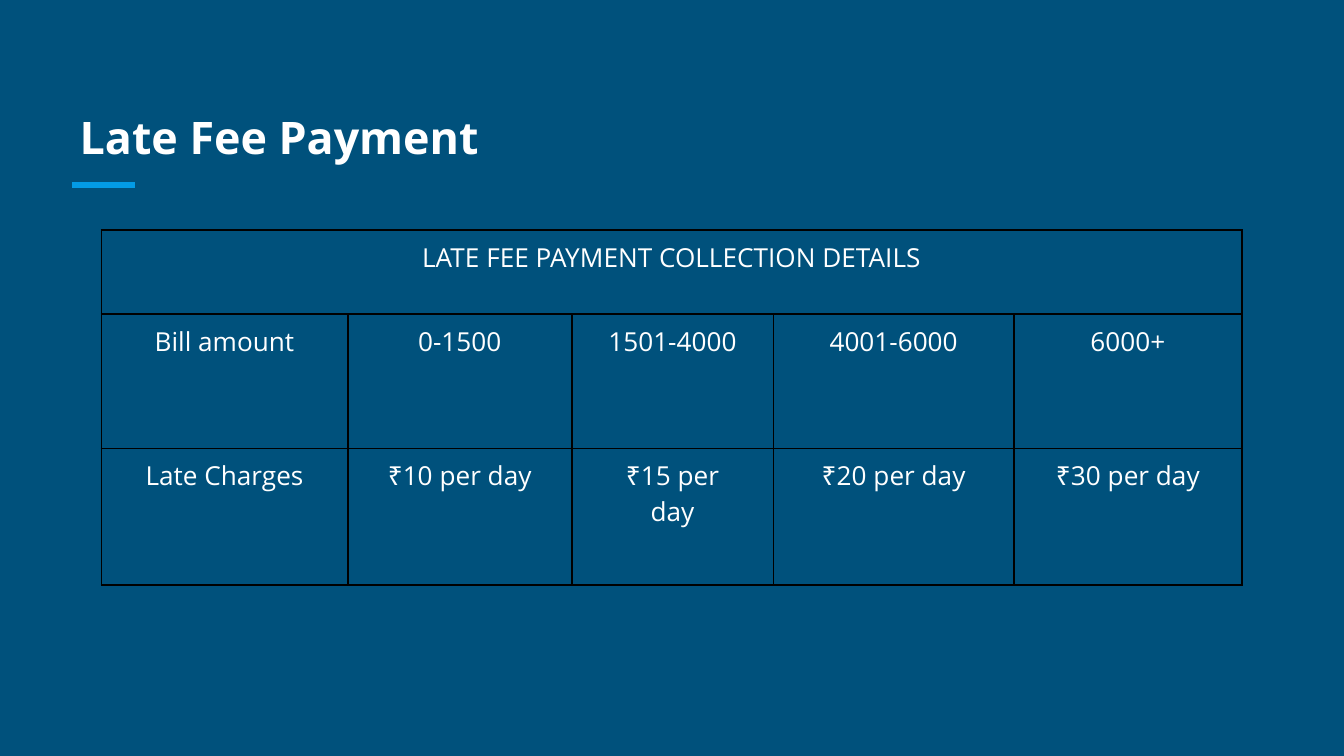
from lxml import etree
from pptx import Presentation
from pptx.dml.color import RGBColor
from pptx.enum import shapes, text
from pptx.oxml import ns
from pptx.util import Pt

HUES = {"back": "00517C", "ink": "FFFFFF", "rule": "039BE5", "edge": "000000"}
ROWS = [
    ["LATE FEE PAYMENT COLLECTION DETAILS"],
    ["Bill amount", "0-1500", "1501-4000", "4001-6000", "6000+"],
    ["Late Charges", "₹10 per day", "₹15 per day", "₹20 per day", "₹30 per day"],
]
WIDTHS = [132, 120, 108, 129, 122]
HEIGHTS = [45, 72, 73]


def hue(name):
    return RGBColor.from_string(HUES[name])


def apply(item, **vals):
    for key, val in vals.items():
        setattr(item, key, val)


class Deck:
    face = "Open Sans"

    def __init__(self, wide, high):
        self.show = Presentation()
        apply(self.show, slide_width=Pt(wide), slide_height=Pt(high))
        self.slide = self.show.slides.add_slide(self.show.slide_layouts[5])
        fill = self.slide.background.fill
        fill.solid()
        fill.fore_color.rgb = hue("back")

    def label(self, frame, words, size, align, bold=False):
        para = frame.paragraphs[0]
        para.alignment = align
        run = para.add_run()
        run.text = words
        apply(run.font, name=self.face, size=Pt(size), bold=bold)
        run.font.color.rgb = hue("ink")

    def title(self, words, left, top, wide, high):
        box = self.slide.shapes.title
        apply(box, left=Pt(left), top=Pt(top), width=Pt(wide), height=Pt(high))
        apply(box.text_frame, word_wrap=True, auto_size=text.MSO_AUTO_SIZE.NONE,
              vertical_anchor=text.MSO_ANCHOR.TOP, margin_left=Pt(7.2),
              margin_right=Pt(7.2), margin_top=Pt(20), margin_bottom=0)
        self.label(box.text_frame, words, 24, text.PP_ALIGN.LEFT, True)

    def rule(self, left, top, right):
        line = self.slide.shapes.add_connector(
            shapes.MSO_CONNECTOR.STRAIGHT, Pt(left), Pt(top), Pt(right), Pt(top))
        line.line.width = Pt(3)
        line.line.color.rgb = hue("rule")
        etree.SubElement(line._element.spPr, ns.qn("a:effectLst"))

    def edges(self, cell):
        props = cell._tc.get_or_add_tcPr()
        for spot, side in enumerate(("lnL", "lnR", "lnT", "lnB")):
            edge = etree.Element(ns.qn("a:" + side), w=str(Pt(1)))
            fill = etree.SubElement(edge, ns.qn("a:solidFill"))
            etree.SubElement(fill, ns.qn("a:srgbClr"), val=HUES["edge"])
            props.insert(spot, edge)

    def table(self, rows, left, top, widths, heights):
        grid = self.slide.shapes.add_table(
            len(heights), len(widths), Pt(left), Pt(top),
            Pt(sum(widths)), Pt(sum(heights))).table
        apply(grid, first_row=False, horz_banding=False)
        for col, wide in zip(grid.columns, widths):
            col.width = Pt(wide)
        for row, high in zip(grid.rows, heights):
            row.height = Pt(high)
        for cell in grid.iter_cells():
            apply(cell, margin_left=Pt(5), margin_right=Pt(5),
                  margin_top=Pt(5), margin_bottom=Pt(5))
            cell.fill.background()
            self.edges(cell)
        for y, row in enumerate(rows):
            if len(row) == 1:
                grid.cell(y, 0).merge(grid.cell(y, len(widths) - 1))
            for x, words in enumerate(row):
                self.label(grid.cell(y, x).text_frame, words, 14,
                           text.PP_ALIGN.CENTER)
        return grid


def main():
    deck = Deck(720, 405)
    deck.rule(38.6, 99, 72.2)
    deck.title("Late Fee Payment", 35.5, 39, 334, 54)
    grid = deck.table(ROWS, 54.3, 123.3, WIDTHS, HEIGHTS)
    apply(grid.cell(2, 2), margin_left=Pt(18), margin_right=Pt(18))
    deck.show.save("out.pptx")


if __name__ == "__main__":
    main()
